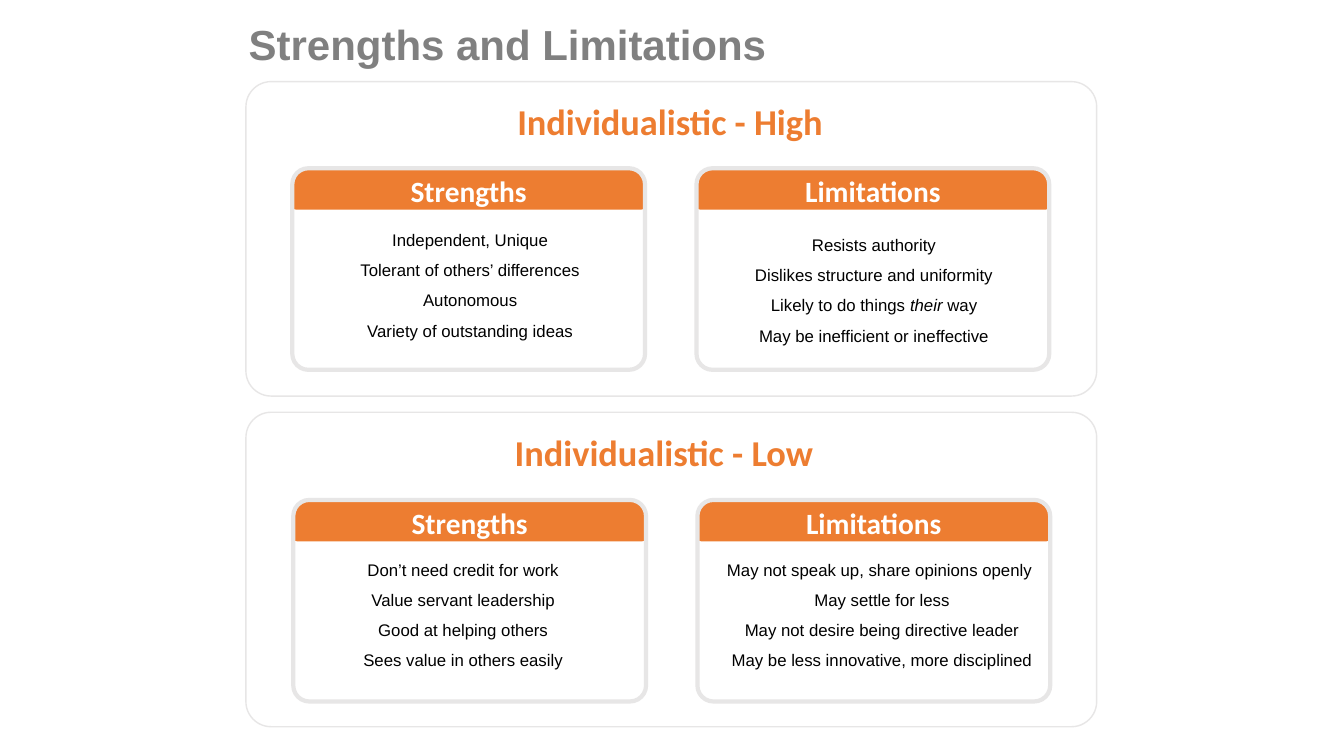
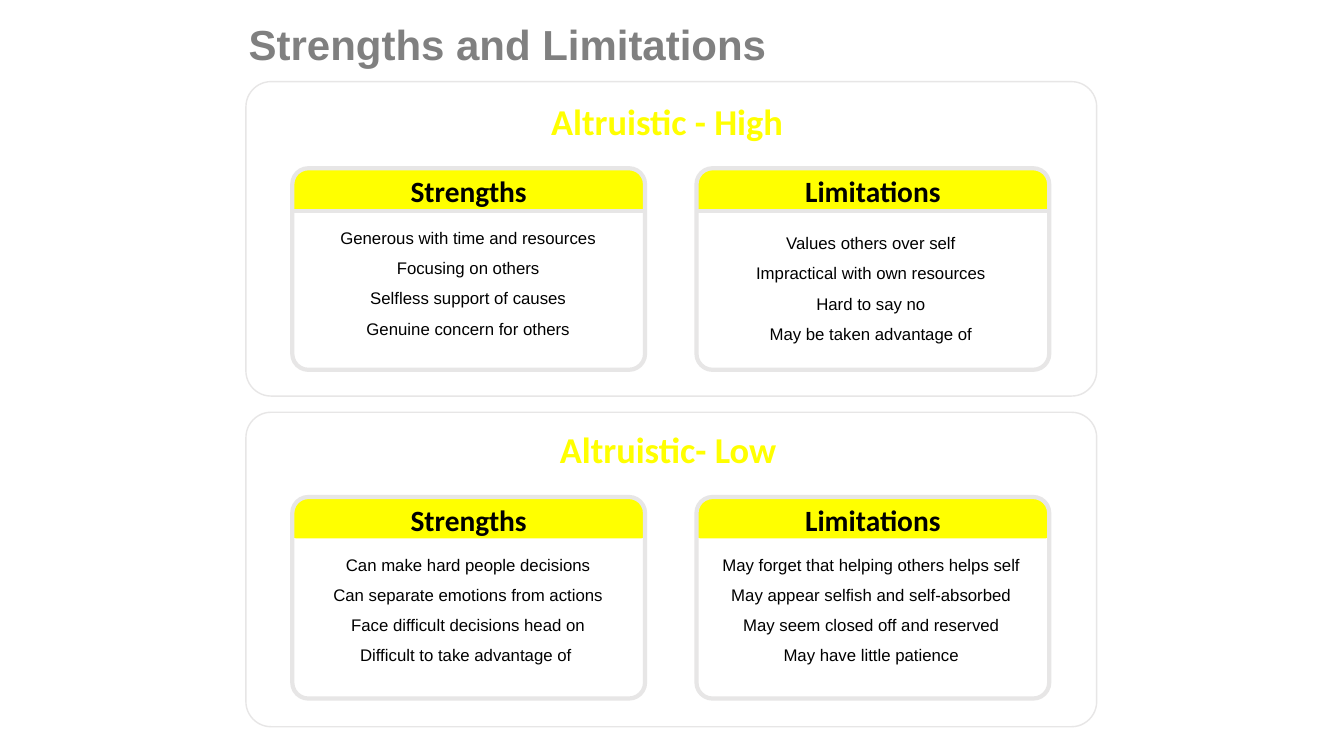
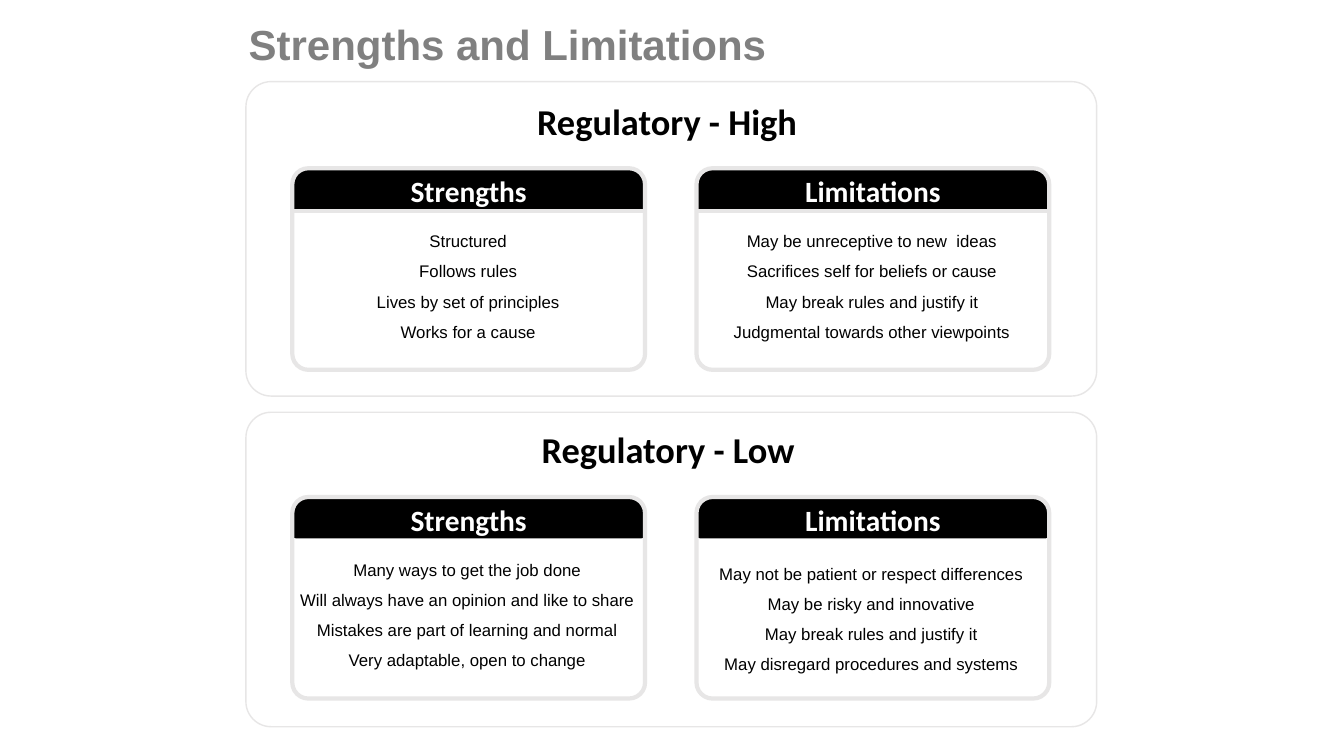
"""Build three slides that set out the strengths and limitations of each style."""
from dataclasses import dataclass
from typing import Optional

from lxml import etree
from pptx import Presentation
from pptx import util as u
from pptx.dml.color import RGBColor
from pptx.enum import shapes, text
from pptx.oxml.ns import qn

GREY, BORDER, BLACK, WHITE = "808080", "E7E6E6", "000000", "FFFFFF"
ORANGE, YELLOW, GOLD = "ED7D31", "FFFF00", "FFC000"
HEAD_FONT, BODY_FONT = "Calibri", "Arial"
PANEL_X, PANEL_Y, PANEL_W, PANEL_H, PANEL_STEP = 175.7, 58.3, 607.7, 224.6, 236.2
CARD_W, CARD_H, CARD_STEP, HEADER_H = 252, 144, 288.7, 28.8
HEADING_W, HEADING_H, BODY_H = 240.5, 38.2, 90
CARD_TITLES = ("Strengths", "Limitations")


@dataclass(frozen=True)
class Style:
    size: float
    color: str
    font: str = HEAD_FONT
    bold: bool = True
    outline: Optional[str] = None
    centered: bool = True
    spacing: float = 1.0


@dataclass(frozen=True)
class Body:
    x: float
    y: float
    w: float
    lines: tuple[str, ...]


@dataclass(frozen=True)
class Panel:
    heading: str
    heading_x: float
    heading_y: float
    card_x: float
    card_y: float
    bodies: tuple[Body, Body]
    ruled: bool = False


@dataclass(frozen=True)
class Topic:
    accent: str
    header_text: str
    panels: tuple[Panel, Panel]
    outline: Optional[str] = None


TITLE = Style(30, GREY, BODY_FONT, centered=False)
BODY = Style(12, BLACK, BODY_FONT, bold=False, spacing=1.05)

TOPICS = (
    Topic(ORANGE, WHITE, (
        Panel("Individualistic - High", 358.6, 67, 208.8, 120.2, (
            Body(195.1, 159.8, 281.5, (
                "Independent, Unique", "Tolerant of others’ differences",
                "Autonomous", "Variety of outstanding ideas")),
            Body(484.6, 163.4, 279.4, (
                "Resists authority", "Dislikes structure and uniformity",
                "Likely to do things *their* way", "May be inefficient or ineffective")))),
        Panel("Individualistic - Low", 354.2, 303.8, 209.5, 357.1, (
            Body(190.1, 395.3, 281.5, (
                "Don’t need credit for work", "Value servant leadership",
                "Good at helping others", "Sees value in others easily")),
            Body(490.3, 395.3, 279.4, (
                "May not speak up, share opinions openly ", "May settle for less",
                "May not desire being directive leader",
                "May be less innovative, more disciplined")))))),
    Topic(YELLOW, BLACK, (
        Panel("Altruistic - High", 356.4, 67, 208.8, 120.2, (
            Body(193.7, 158.4, 281.5, (
                "Generous with time and resources", "Focusing on others",
                "Selfless support of causes", "Genuine concern for others")),
            Body(475.2, 162, 293.8, (
                "Values others over self", "Impractical with own resources",
                "Hard to say no", "May be taken advantage of"))), ruled=True),
        Panel("Altruistic- Low", 357.1, 301.7, 208.8, 355, (
            Body(193.7, 391.7, 281.5, (
                "Can make hard people decisions", "Can separate emotions from actions",
                "Face difficult decisions head on", "Difficult to take advantage of ")),
            Body(497.5, 391.7, 249.8, (
                "May forget that helping others helps self",
                "May appear selfish and self-absorbed",
                "May seem closed off and reserved", "May have little patience"))))),
        outline=GOLD),
    Topic(BLACK, WHITE, (
        Panel("Regulatory - High", 356.4, 67, 208.8, 120.2, (
            Body(193.7, 160.6, 281.5, (
                "Structured", "Follows rules",
                "Lives by set of principles", "Works for a cause")),
            Body(475.9, 160.6, 293.8, (
                "May be unreceptive to new  ideas", "Sacrifices self for beliefs or cause",
                "May break rules and justify it",
                "Judgmental towards other viewpoints"))), ruled=True),
        Panel("Regulatory - Low", 357.1, 301.7, 208.8, 355, (
            Body(193, 395.3, 281.5, (
                "Many ways to get the job done",
                "Will always have an opinion and like to share",
                "Mistakes are part of learning and normal",
                "Very adaptable, open to change")),
            Body(497.5, 398.2, 249.8, (
                "May not be patient or respect differences", "May be risky and innovative",
                "May break rules and justify it",
                "May disregard procedures and systems")))))),
)


def rgb(color: str) -> RGBColor:
    """Turn a hex string into a colour."""
    return RGBColor.from_string(color)


def write(tf, lines: tuple[str, ...], style: Style) -> None:
    """Write one paragraph per line, with italics between asterisks."""
    for i, line in enumerate(lines):
        p = tf.add_paragraph() if i else tf.paragraphs[0]
        p.alignment = text.PP_ALIGN.CENTER if style.centered else text.PP_ALIGN.LEFT
        p.line_spacing = style.spacing
        p.space_before = u.Pt(6.5 if i else 0)
        for j, part in enumerate(line.split("*")):
            r = p.add_run()
            r.text = part
            r.font.name, r.font.size = style.font, u.Pt(style.size)
            r.font.bold, r.font.italic = style.bold, j % 2 == 1
            r.font.color.rgb = rgb(style.color)
            if style.outline:
                ln = etree.Element(qn("a:ln"), w=str(u.Pt(0.75)))
                fill = etree.SubElement(ln, qn("a:solidFill"))
                etree.SubElement(fill, qn("a:srgbClr"), val=style.outline)
                r.font._element.insert(0, ln)


def add_text(s, x: float, y: float, w: float, h: float,
             lines: tuple[str, ...], style: Style, wrap: bool = True) -> None:
    """Add a text box that grows with its text."""
    tf = s.shapes.add_textbox(u.Pt(x), u.Pt(y), u.Pt(w), u.Pt(h)).text_frame
    tf.word_wrap = wrap
    tf.auto_size = text.MSO_AUTO_SIZE.SHAPE_TO_FIT_TEXT
    write(tf, lines, style)


def add_frame(s, x: float, y: float, w: float, h: float, weight: float) -> None:
    """Add an unfilled rounded frame."""
    sp = s.shapes.add_shape(shapes.MSO_SHAPE.ROUNDED_RECTANGLE,
                            u.Pt(x), u.Pt(y), u.Pt(w), u.Pt(h))
    sp.adjustments[0] = 0.08
    sp.shadow.inherit = False
    sp.fill.background()
    sp.line.color.rgb = rgb(BORDER)
    sp.line.width = u.Pt(weight)


def add_header(s, x: float, y: float, label: str, fill: str, style: Style) -> None:
    """Add the coloured header of a card."""
    sp = s.shapes.add_shape(shapes.MSO_SHAPE.ROUND_2_SAME_RECTANGLE,
                            u.Pt(x), u.Pt(y), u.Pt(CARD_W), u.Pt(HEADER_H))
    sp.adjustments[0], sp.adjustments[1] = 0.37, 0.1
    sp.shadow.inherit = False
    sp.fill.solid()
    sp.fill.fore_color.rgb = rgb(fill)
    sp.line.fill.background()
    tf = sp.text_frame
    tf.word_wrap = False
    tf.vertical_anchor = text.MSO_ANCHOR.MIDDLE
    write(tf, (label,), style)


def add_rule(s, x: float, y: float) -> None:
    """Add the line below a card header."""
    c = s.shapes.add_connector(shapes.MSO_CONNECTOR.STRAIGHT,
                               u.Pt(x), u.Pt(y), u.Pt(x + CARD_W), u.Pt(y))
    c.line.color.rgb = rgb(BORDER)
    c.line.width = u.Pt(3)
    etree.SubElement(c._element.spPr, qn("a:effectLst"))


def add_panel(s, panel: Panel, topic: Topic) -> None:
    """Add a heading with its two cards."""
    add_text(s, panel.heading_x, panel.heading_y, HEADING_W, HEADING_H,
             (panel.heading,), Style(26, topic.accent, outline=topic.outline))
    for i, (label, body) in enumerate(zip(CARD_TITLES, panel.bodies)):
        x, y = panel.card_x + i * CARD_STEP, panel.card_y
        add_text(s, body.x, body.y, body.w, BODY_H, body.lines, BODY)
        add_header(s, x, y + 0.8, label, topic.accent, Style(21, topic.header_text))
        add_frame(s, x, y, CARD_W, CARD_H, 3)
        if panel.ruled:
            add_rule(s, x, y + 30.3)


def add_topic(prs, topic: Topic) -> None:
    """Add one slide for a topic."""
    s = prs.slides.add_slide(prs.slide_layouts[6])
    add_text(s, 170.6, 9.4, 384.5, 43.2, ("Strengths and Limitations",), TITLE, wrap=False)
    for i, panel in enumerate(topic.panels):
        add_frame(s, PANEL_X, PANEL_Y + i * PANEL_STEP, PANEL_W, PANEL_H, 1)
        add_panel(s, panel, topic)


def main() -> None:
    """Build and save the presentation."""
    prs = Presentation()
    prs.slide_width, prs.slide_height = u.Pt(960), u.Pt(540)
    for topic in TOPICS:
        add_topic(prs, topic)
    prs.save("out.pptx")


if __name__ == "__main__":
    main()
